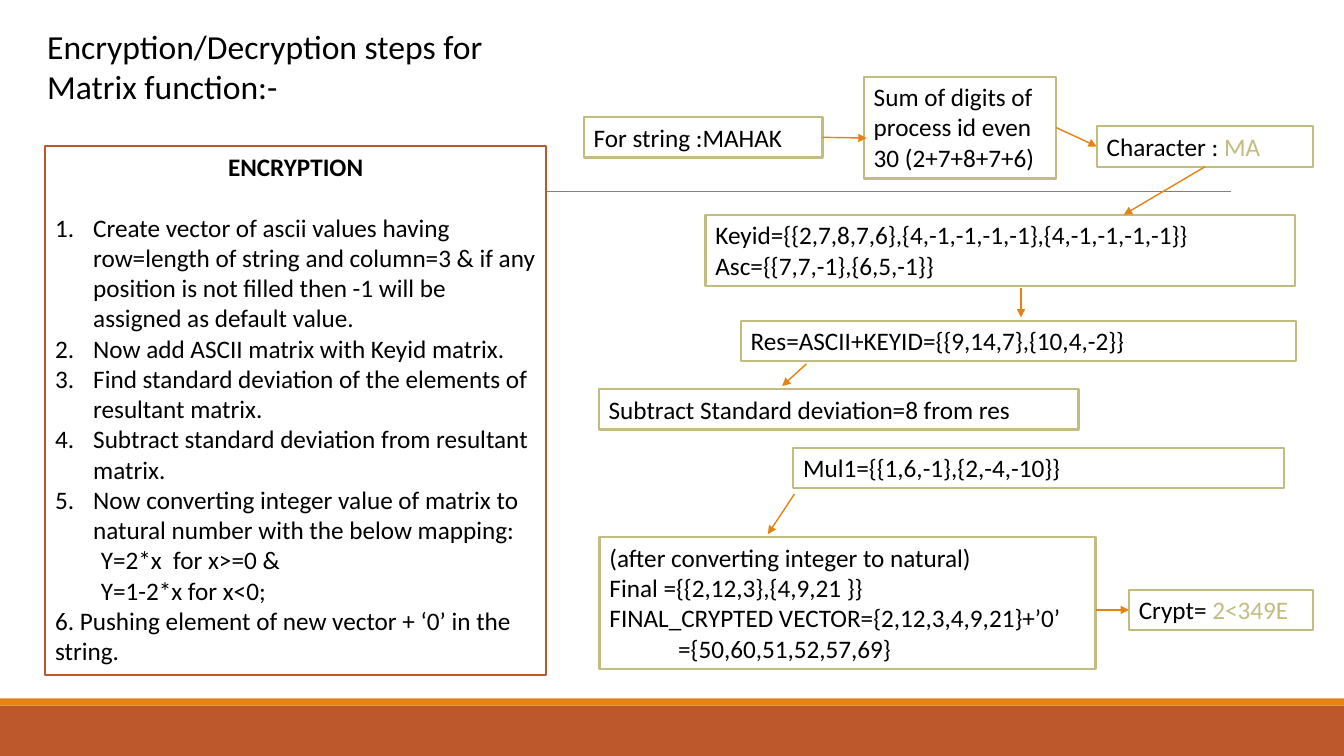
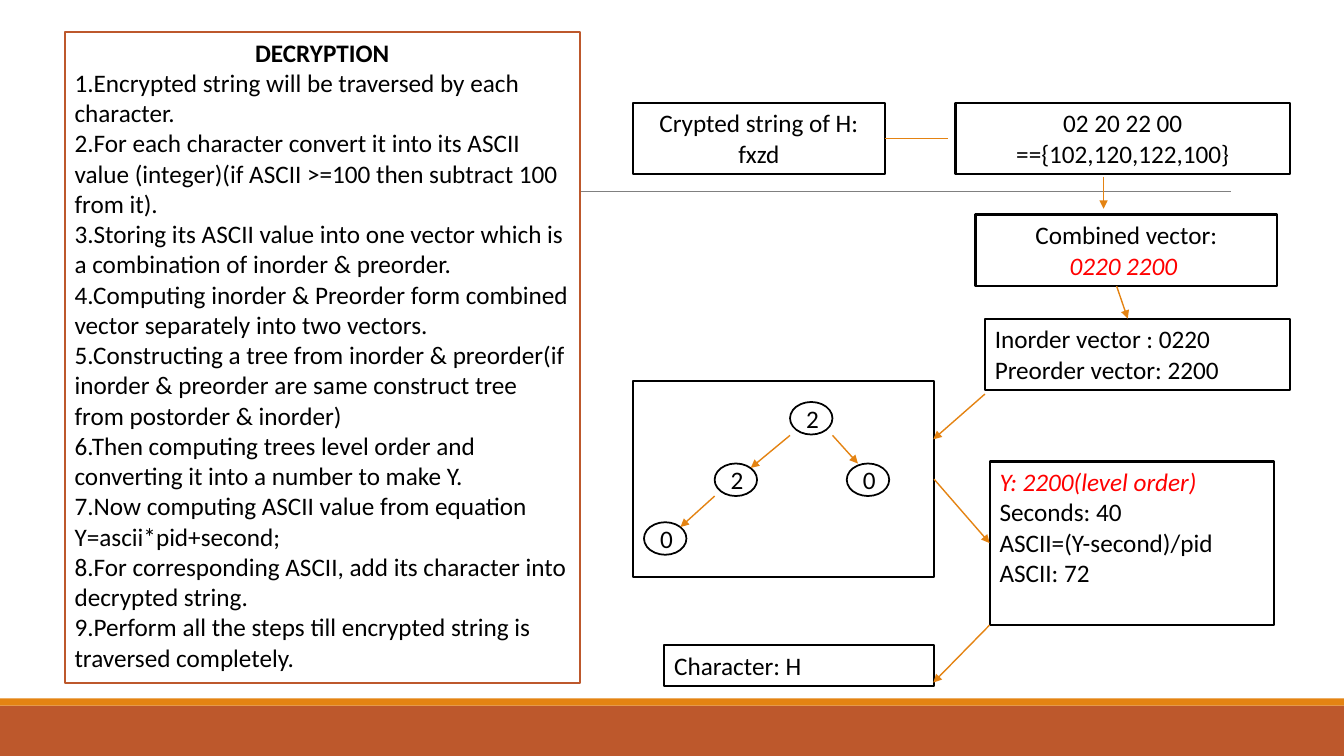
from dataclasses import dataclass
from typing import NamedTuple

from lxml.etree import SubElement
from pptx import Presentation
from pptx.dml.color import RGBColor
from pptx.enum.shapes import MSO_CONNECTOR, MSO_SHAPE
from pptx.enum.text import MSO_ANCHOR, PP_ALIGN
from pptx.oxml.ns import qn
from pptx.util import Cm, Pt

WIDTH, HEIGHT = 33.87, 19.05
BLACK = RGBColor(0x00, 0x00, 0x00)
WHITE = RGBColor(0xFF, 0xFF, 0xFF)
RED = RGBColor(0xFF, 0x00, 0x00)
GREY = RGBColor(0x80, 0x80, 0x80)
RUST = RGBColor(0xBD, 0x58, 0x2C)
ORANGE = RGBColor(0xE4, 0x83, 0x12)
OLIVE = RGBColor(0xC2, 0xBC, 0x80)
FONT = "Calibri"
NUMBER_INDENT = 0.96
ONE_LINE, TWO_LINES = 1.02, 1.8
NODE_WIDTH, NODE_HEIGHT = 1.07, 0.82
TOP, LEFT, BOTTOM, RIGHT = range(4)


@dataclass
class Line:
    """One paragraph; accent is an olive ending."""
    text: str
    accent: str = ""
    color: RGBColor = BLACK
    size: float = 18
    bold: bool = False
    italic: bool = False
    align: PP_ALIGN = PP_ALIGN.LEFT
    indent: float = 0
    numbered: bool = False
    after: float = 0


class Joint(NamedTuple):
    """The middle of one side of a box."""
    box: object
    side: int


def centred(text, **options):
    return Line(text, align=PP_ALIGN.CENTER, **options)


def write_line(para, line):
    properties = para._p.get_or_add_pPr()
    if line.numbered:
        properties.set("marL", str(Cm(NUMBER_INDENT)))
        properties.set("indent", str(-Cm(NUMBER_INDENT)))
        SubElement(properties, qn("a:buAutoNum"), type="arabicPeriod")
    elif line.indent:
        properties.set("marL", str(Cm(line.indent)))
    para.alignment = line.align
    para.space_after = Pt(line.after)
    font = para.font
    font.name, font.size = FONT, Pt(line.size)
    font.bold, font.italic = line.bold, line.italic
    font.color.rgb = line.color
    para.add_run().text = line.text
    if line.accent:
        span = para.add_run()
        span.text = line.accent
        span.font.color.rgb = OLIVE


def write_lines(shape, lines, anchor=MSO_ANCHOR.TOP):
    frame = shape.text_frame
    frame.word_wrap = True
    frame.vertical_anchor = anchor
    for index, line in enumerate(lines):
        para = frame.add_paragraph() if index else frame.paragraphs[0]
        write_line(para, line if isinstance(line, Line) else Line(line))


def add_box(page, left, top, width, height, lines=(), border=BLACK,
            weight=1.5, fill=None, kind=MSO_SHAPE.RECTANGLE,
            anchor=MSO_ANCHOR.TOP):
    box = page.shapes.add_shape(kind, Cm(left), Cm(top), Cm(width), Cm(height))
    box.shadow.inherit = False
    if fill is None:
        box.fill.background()
    else:
        box.fill.solid()
        box.fill.fore_color.rgb = fill
    if border is None:
        box.line.fill.background()
    else:
        box.line.color.rgb = border
        box.line.width = Pt(weight)
    write_lines(box, lines, anchor)
    return box


def add_olive_box(page, left, top, width, height, *lines, weight=1.5):
    return add_box(page, left, top, width, height, lines, OLIVE, weight)


def add_steps(page, left, top, width, height, lines):
    add_box(page, left, top, width, height, lines, RUST, 1.25, WHITE)


def add_node(page, left, top, digit):
    add_box(page, left, top, NODE_WIDTH, NODE_HEIGHT, [centred(digit)],
            weight=1.25, fill=WHITE, kind=MSO_SHAPE.OVAL,
            anchor=MSO_ANCHOR.MIDDLE)


def add_line(page, start, end, color=ORANGE, weight=1.0, head=False):
    """Draw from start to end, each an (x, y) point or a Joint."""
    points = [(0, 0) if isinstance(place, Joint) else place
              for place in (start, end)]
    line = page.shapes.add_connector(
        MSO_CONNECTOR.STRAIGHT, *(Cm(value) for point in points for value in point))
    if isinstance(start, Joint):
        line.begin_connect(*start)
    if isinstance(end, Joint):
        line.end_connect(*end)
    line.line.color.rgb = color
    line.line.width = Pt(weight)
    if head:
        SubElement(line.line._get_or_add_ln(), qn("a:tailEnd"), type="triangle")
    SubElement(line._element.spPr, qn("a:effectLst"))


def add_arrows(page, *routes):
    for start, end in routes:
        add_line(page, start, end, head=True)


def add_page(deck):
    """Add a blank page with the shared bands and rule."""
    page = deck.slides.add_slide(deck.slide_layouts[6])
    add_box(page, 0, 17.78, WIDTH, HEIGHT - 17.78, border=None, fill=RUST)
    add_box(page, 0, 17.6, WIDTH, 0.18, border=None, fill=ORANGE)
    add_line(page, (3.33, 4.83), (31.01, 4.83), GREY, 0.5)
    return page


def add_title(page, text):
    title = page.shapes.add_textbox(Cm(0.94), Cm(0.53), Cm(11.56), Cm(2.31))
    write_lines(title, [Line(text, size=24)])


def build_encryption(deck):
    page = add_page(deck)
    add_title(page, "Encryption/Decryption steps for Matrix function:-")
    steps = [
        "Create vector of ascii values having row=length of string and column=3 "
        "& if any position is not filled then -1 will be assigned as default value.",
        "Now add ASCII matrix with Keyid matrix.",
        "Find standard deviation of the elements of resultant matrix.",
        "Subtract standard deviation from resultant matrix.",
        "Now converting integer value of matrix to natural number with the below mapping:",
    ]
    add_steps(page, 1.14, 3.68, 12.62, 13.34, [
        centred("ENCRYPTION", bold=True, after=22),
        *(Line(step, numbered=True) for step in steps),
        Line("Y=2*x  for x>=0 &", indent=1.15),
        Line("Y=1-2*x for x<0;", indent=1.15),
        "6. Pushing element of new vector + ‘0’ in the string.",
    ])

    string = add_olive_box(page, 14.71, 2.95, 6.02, ONE_LINE, "For string :MAHAK")
    digit_sum = add_olive_box(page, 21.77, 1.93, 4.85, 2.57,
                              "Sum of digits of process id even", "30 (2+7+8+7+6)")
    character = add_olive_box(page, 27.64, 3.18, 5.46, ONE_LINE,
                              Line("Character : ", accent="MA"))
    add_olive_box(page, 17.78, 5.41, 14.86, TWO_LINES,
                  "Keyid={{2,7,8,7,6},{4,-1,-1,-1,-1},{4,-1,-1,-1,-1}}",
                  "Asc={{7,7,-1},{6,5,-1}}")
    add_olive_box(page, 18.67, 8.08, 14, ONE_LINE,
                  "Res=ASCII+KEYID={{9,14,7},{10,4,-2}}")
    add_olive_box(page, 15.09, 9.8, 12.09, ONE_LINE,
                  "Subtract Standard deviation=8 from res", weight=1.75)
    add_olive_box(page, 19.99, 11.28, 12.37, ONE_LINE, "Mul1={{1,6,-1},{2,-4,-10}}")
    add_olive_box(page, 15.11, 13.54, 12.5, 3.33,
                  "(after converting integer to natural)",
                  "Final ={{2,12,3},{4,9,21 }}",
                  "FINAL_CRYPTED VECTOR={2,12,3,4,9,21}+’0’",
                  Line("={50,60,51,52,57,69}", indent=1.73))
    crypt = add_olive_box(page, 28.45, 14.86, 4.65, ONE_LINE,
                          Line("Crypt=", accent=" 2<349E"))
    add_arrows(
        page,
        (Joint(string, RIGHT), (21.84, 3.48)),
        (Joint(digit_sum, RIGHT), Joint(character, LEFT)),
        (Joint(character, BOTTOM), (28.32, 5.41)),
        ((25.73, 7.26), (25.73, 8)),
        ((20.32, 9.17), (19.71, 9.73)),
        ((20.02, 12.45), (19.35, 13.46)),
        ((27.62, 15.37), Joint(crypt, LEFT)),
    )


def build_decryption(deck):
    page = add_page(deck)
    add_steps(page, 1.63, 0.81, 12.98, 16.41, [
        centred("DECRYPTION", bold=True),
        "1.Encrypted string will be traversed by each character.",
        "2.For each character convert it into its ASCII value (integer)"
        "(if ASCII >=100 then subtract 100 from it).",
        "3.Storing its ASCII value into one vector which is a combination of "
        "inorder & preorder.",
        "4.Computing inorder & Preorder form combined vector separately into two vectors.",
        "5.Constructing a tree from inorder & preorder(if inorder & preorder are "
        "same construct tree from postorder & inorder)",
        "6.Then computing trees level order and converting it into a number to make Y.",
        "7.Now computing ASCII value from equation Y=ascii*pid+second;",
        "8.For corresponding ASCII, add its character into decrypted string.",
        "9.Perform all the steps till encrypted string is traversed completely.",
    ])

    crypted = add_box(page, 15.95, 2.59, 6.35, TWO_LINES,
                      [centred("Crypted string of H: fxzd")], weight=1.75, fill=WHITE)
    add_box(page, 24.08, 2.59, 8.43, TWO_LINES,
            [centred("02 20 22 00 =={102,120,122,100}")], fill=WHITE)
    add_box(page, 24.59, 5.41, 7.59, TWO_LINES,
            [centred("Combined vector:"),
             centred("0220 2200 ", color=RED, italic=True)], weight=1.75)
    add_box(page, 24.82, 8.03, 7.7, TWO_LINES,
            ["Inorder vector : 0220", "Preorder vector: 2200"], weight=1.25)
    tree = add_box(page, 15.95, 9.6, 7.59, 4.95, weight=1.25, fill=WHITE)
    result = add_box(page, 24.94, 11.63, 7.16, 4.11,
                     [Line("Y: 2200(level order)", color=RED, italic=True),
                      "Seconds: 40", "ASCII=(Y-second)/pid", "ASCII: 72"])
    add_box(page, 16.74, 16.26, 6.81, ONE_LINE, ["Character: H"])
    for left, top, digit in ((19.91, 10.13, "2"), (18.01, 11.68, "2"),
                             (21.34, 11.68, "0"), (16.23, 13.16, "0")):
        add_node(page, left, top, digit)

    add_line(page, Joint(crypted, RIGHT), (23.88, 3.49))
    add_arrows(
        page,
        ((27.81, 4.45), (27.81, 5.26)),
        ((28.14, 7.21), (28.42, 8.03)),
        ((24.82, 9.93), (23.52, 11.07)),
        ((19.91, 10.97), (18.92, 11.79)),
        ((20.98, 10.97), (21.62, 11.68)),
        ((18.01, 12.5), (17.15, 13.28)),
        (Joint(tree, RIGHT), Joint(result, LEFT)),
        ((24.94, 15.75), (23.52, 17.2)),
    )


def main():
    deck = Presentation()
    deck.slide_width, deck.slide_height = Cm(WIDTH), Cm(HEIGHT)
    build_encryption(deck)
    build_decryption(deck)
    deck.save("out.pptx")


if __name__ == "__main__":
    main()
